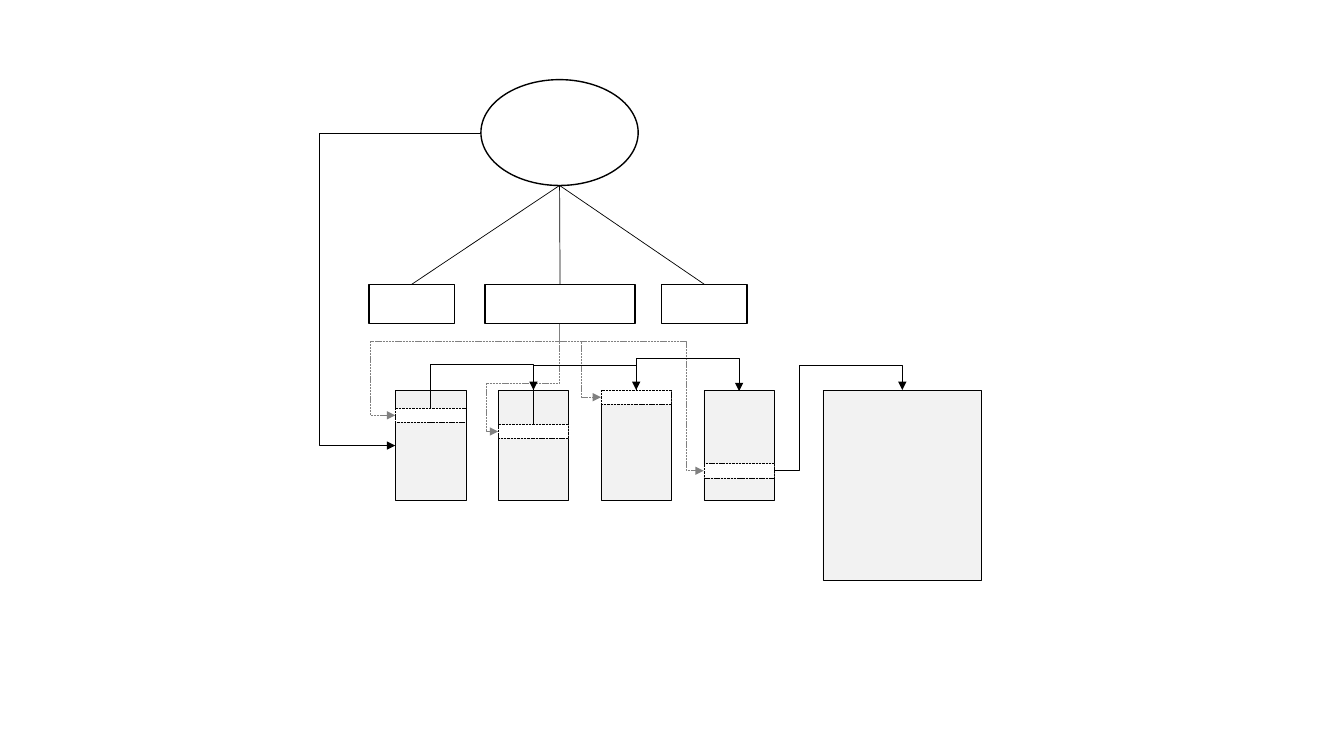
from pptx import Presentation
from pptx.dml.color import RGBColor
from pptx.enum.dml import MSO_LINE
from pptx.enum.shapes import MSO_CONNECTOR as CONN, MSO_SHAPE as SHAPE
from pptx.oxml.ns import qn
from pptx.util import Inches, Pt
from lxml.etree import SubElement

COLORS = {"white": "FFFFFF", "black": "000000", "page": "F2F2F2", "pointer": "808080"}
PAGE_TOP, PAGE_W, PAGE_H, PAGE_STEP = 3.87, 0.7, 1.09, 1.02
RECORD_H = 0.14


def color(name):
    """Return the named colour."""
    return RGBColor.from_string(COLORS[name])


def style_line(line, name, width, dashed=False):
    """Set colour, width and dash of a line."""
    line.color.rgb = color(name)
    line.width = Pt(width)
    if dashed:
        line.dash_style = MSO_LINE.SQUARE_DOT


def add_box(s, left, top, width, height, fill="white", weight=1, kind=SHAPE.RECTANGLE, dashed=False):
    """Add an outlined shape without text."""
    sp = s.shapes.add_shape(kind, Inches(left), Inches(top), Inches(width), Inches(height))
    sp.shadow.inherit = False
    sp.fill.solid()
    sp.fill.fore_color.rgb = color(fill)
    style_line(sp.line, "black", weight, dashed)
    return sp


def add_line(s, start, end, name="black", kind=CONN.STRAIGHT, dashed=False):
    """Add a thin connector without shadow."""
    cx = s.shapes.add_connector(kind, *map(Inches, (*start, *end)))
    style_line(cx.line, name, 0.5, dashed)
    SubElement(cx._element.spPr, qn("a:effectLst"))
    return cx


def add_elbow(s, start, end, turn=0, adjusts=(), bends=3, name="black"):
    """Add a bent arrow that leaves its start rotated by turn degrees."""
    dx, dy = end[0] - start[0], end[1] - start[1]
    vx, vy = {0: (dx, dy), 90: (dy, -dx), 180: (-dx, -dy), 270: (-dy, dx)}[turn]
    mx, my = (start[0] + end[0]) / 2, (start[1] + end[1]) / 2
    cx = add_line(s, (mx - vx / 2, my - vy / 2), (mx + vx / 2, my + vy / 2),
                  name, CONN.ELBOW, name == "pointer")
    spPr = cx._element.spPr
    if turn:
        spPr.find(qn("a:xfrm")).set("rot", str(turn * 60000))
    geom = spPr.find(qn("a:prstGeom"))
    geom.set("prst", f"bentConnector{bends}")
    guides = geom.find(qn("a:avLst"))
    for i, value in enumerate(adjusts, 1):
        SubElement(guides, qn("a:gd"), name=f"adj{i}", fmla=f"val {round(value * 100000)}")
    SubElement(cx.line._get_or_add_ln(), qn("a:tailEnd"), type="triangle")


def add_tree(s):
    """Add the root ellipse, its three nodes and the branches."""
    root = (5.55, 1.84)
    add_box(s, 4.77, 0.79, 1.56, 1.05, kind=SHAPE.OVAL)
    for left, width in ((3.66, 0.85), (4.81, 1.49), (6.56, 0.85)):
        add_box(s, left, 2.82, width, 0.39)
        add_line(s, root, (left + width / 2, 2.82))
    add_line(s, (5.55, 3.21), (5.55, 3.39), "pointer")


def add_pages(s):
    """Add the four pages with their records and the large page."""
    for i, record_top in enumerate((4.05, 4.21, PAGE_TOP, 4.6)):
        left = 3.92 + i * PAGE_STEP
        add_box(s, left, PAGE_TOP, PAGE_W, PAGE_H, "page", 0.25)
        add_box(s, left, record_top, PAGE_W, RECORD_H, weight=0.25, dashed=True)
    add_box(s, 8.16, PAGE_TOP, 1.57, 1.89, "page", 0.25)


def add_arrows(s):
    """Add the grey record pointers and the black page links."""
    hub = (5.55, 3.39)
    add_elbow(s, hub, (3.92, 4.12), 180, [1.15], name="pointer")
    add_elbow(s, hub, (4.94, 4.28), 90, [0.46, 1.19], 4, "pointer")
    add_elbow(s, hub, (6.98, 4.67), 0, [0.88], name="pointer")
    add_elbow(s, (5.77, 3.39), (5.96, 3.94), 270, bends=2, name="pointer")
    add_elbow(s, (4.77, 1.32), (3.92, 4.42), 180, [1.89])
    add_elbow(s, (4.27, 4.05), (5.29, PAGE_TOP), 90, [2.4])
    add_elbow(s, (5.29, 4.21), (6.31, PAGE_TOP), 90, [1.73])
    add_elbow(s, (6.31, PAGE_TOP), (7.33, PAGE_TOP + 0.01), 270, [-32])
    add_elbow(s, (7.69, 4.67), (8.95, PAGE_TOP), 0, [0.19, 1.31], 4)


def main():
    """Build and save the slide."""
    prs = Presentation()
    prs.slide_width, prs.slide_height = Inches(13.33), Inches(7.5)
    s = prs.slides.add_slide(prs.slide_layouts[6])
    add_tree(s)
    add_pages(s)
    add_arrows(s)
    prs.save("out.pptx")


main()
